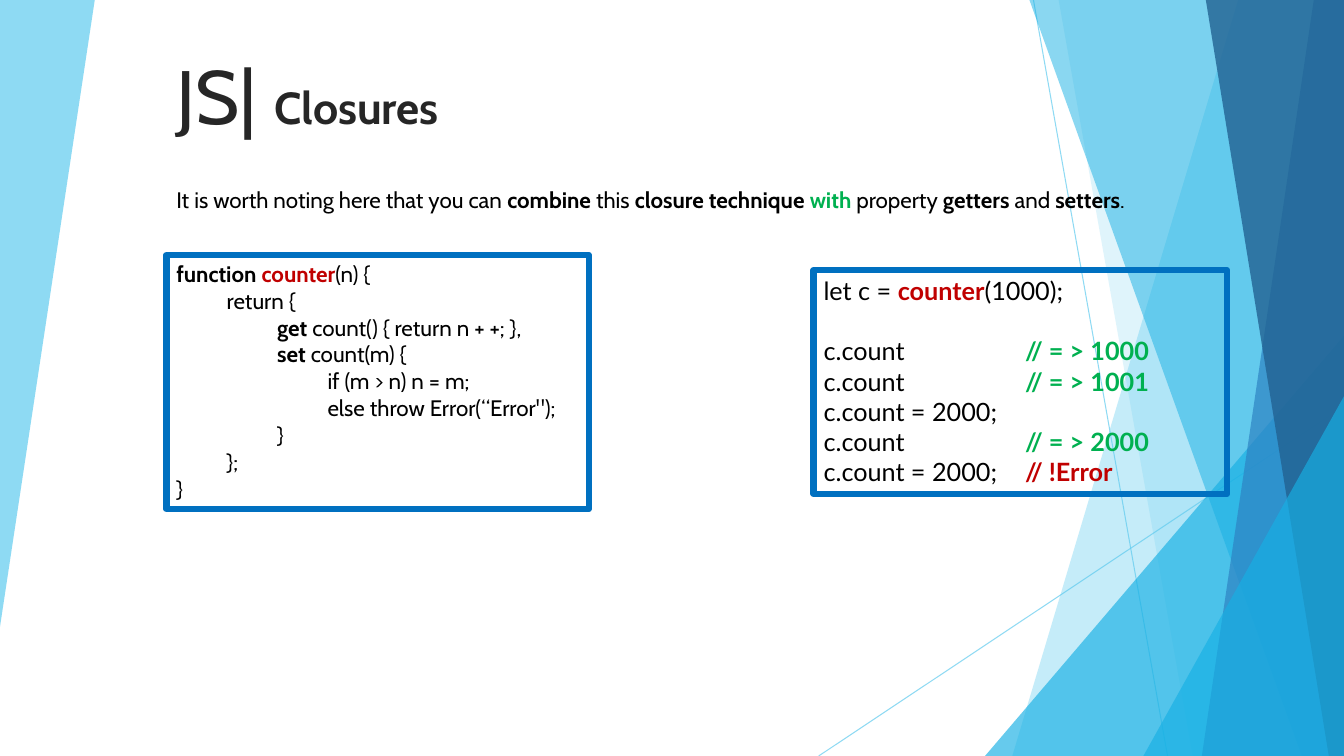
from lxml.etree import SubElement
from pptx import Presentation
from pptx.dml.color import RGBColor
from pptx.enum.shapes import MSO_CONNECTOR, MSO_SHAPE
from pptx.enum.text import MSO_ANCHOR, MSO_AUTO_SIZE, PP_ALIGN
from pptx.oxml.ns import qn
from pptx.util import Inches, Pt

WIDTH, HEIGHT = 13.33, 7.5
SKY, AZURE, BLUE, NAVY = "5FCBEF", "17B0E4", "2E83C3", "226292"
BLACK, RED, GREEN, BORDER = "000000", "C00000", "00B050", "0070C0"


def set_color(target, value, opacity=100):
    target.rgb = RGBColor.from_string(value)
    if opacity < 100:
        holder = target._xFill.find(qn("a:srgbClr"))
        SubElement(holder, qn("a:alpha"), val=str(opacity * 1000))


def add_text(para, text, size=16, font="Cabin", color=BLACK, bold=False):
    span = para.add_run()
    span.text = text
    span.font.size = Pt(size)
    span.font.name = font
    span.font.bold = bold
    set_color(span.font.color, color)


def paint(shape, color, opacity):
    shape.shadow.inherit = False
    shape.fill.solid()
    set_color(shape.fill.fore_color, color, opacity)
    shape.line.fill.background()


def add_facet(page, points, color, opacity):
    corners = [(Inches(x), Inches(y)) for x, y in points]
    builder = page.shapes.build_freeform(*corners[0])
    builder.add_line_segments(corners[1:], close=True)
    paint(builder.convert_to_shape(), color, opacity)


def add_right_facet(page, top, bottom, color, opacity):
    points = [(top, 0), (WIDTH, 0), (WIDTH, HEIGHT), (bottom, HEIGHT)]
    add_facet(page, points, color, opacity)


def add_corner(page, left, top):
    triangle = page.shapes.add_shape(
        MSO_SHAPE.ISOSCELES_TRIANGLE, Inches(left), Inches(top),
        Inches(WIDTH - left), Inches(HEIGHT - top))
    triangle.adjustments[0] = 1
    paint(triangle, AZURE, 66)


def add_ray(page, *ends):
    ray = page.shapes.add_connector(
        MSO_CONNECTOR.STRAIGHT, *[Inches(end) for end in ends])
    ray.line.width = Pt(0.75)
    ray.line.fill.solid()
    set_color(ray.line.fill.fore_color, SKY, 70)
    SubElement(ray.element.spPr, qn("a:effectLst"))


def add_backdrop(page):
    add_facet(page, [(0, 0), (0.94, 0), (0, 6.22)], SKY, 70)
    add_ray(page, 10.25, 0, 11.58, HEIGHT)
    add_ray(page, WIDTH, 4.03, 8.12, HEIGHT)
    add_right_facet(page, 12.28, 10.04, SKY, 36)
    add_right_facet(page, 10.5, 11.83, SKY, 20)
    add_corner(page, 9.77, 3.33)
    add_right_facet(page, 10.21, 12.91, AZURE, 50)
    add_right_facet(page, 13.03, 11.92, BLUE, 70)
    add_right_facet(page, 11.96, 13.18, NAVY, 80)
    add_corner(page, 11.34, 3.93)


def add_title(page, left, top, width, height):
    title = page.shapes.title
    title.left, title.top = Inches(left), Inches(top)
    title.width, title.height = Inches(width), Inches(height)
    frame = title.text_frame
    frame.auto_size = MSO_AUTO_SIZE.NONE
    frame.vertical_anchor = MSO_ANCHOR.BOTTOM
    para = frame.paragraphs[0]
    para.alignment = PP_ALIGN.LEFT
    add_text(para, "JS| ", size=54, color="262626")
    add_text(para, "Closures", size=32, color="262626", bold=True)


def add_text_box(page, left, top, width, height, lines, **style):
    box = page.shapes.add_textbox(
        Inches(left), Inches(top), Inches(width), Inches(height))
    frame = box.text_frame
    frame.word_wrap = True
    frame.auto_size = MSO_AUTO_SIZE.SHAPE_TO_FIT_TEXT
    for index, line in enumerate(lines):
        para = frame.add_paragraph() if index else frame.paragraphs[0]
        for text, *accent in line:
            color = accent[0] if accent else BLACK
            add_text(para, text, color=color, bold=bool(accent), **style)
    return box


def add_statement(page, left, top, width, height):
    sentence = [
        ("It is worth noting here that you can ",), ("combine", BLACK),
        (" this ",), ("closure technique ", BLACK), ("with", GREEN),
        (" property ",), ("getters", BLACK), (" and ",),
        ("setters", BLACK), (".",)]
    box = add_text_box(page, left, top, width, height, [sentence])
    box.text_frame.paragraphs[0].alignment = PP_ALIGN.JUSTIFY


def add_code_box(page, left, top, width, height, lines, **style):
    box = add_text_box(page, left, top, width, height, lines, **style)
    box.line.width = Pt(4.5)
    set_color(box.line.color, BORDER)
    return box


def add_definition(page, left, top, width, height):
    lines = [
        [("function ", BLACK), ("counter", RED), ("(n) {",)],
        [("\treturn {",)],
        [("\t\t",), ("get", BLACK), (" count() { return n + +; },",)],
        [("\t\t",), ("set", BLACK), (" count(m) {",)],
        [("\t\t\tif (m > n) n = m;",)],
        [("\t\t\telse throw Error(“Error\");",)],
        [("\t\t}",)],
        [("\t};",)],
        [("}",)]]
    add_code_box(page, left, top, width, height, lines)


def add_usage(page, left, top, width, height):
    def reading(value):
        return [("c.count \t\t\t",), (f"// = > {value}", GREEN)]

    lines = [
        [("let c = ",), ("counter", RED), ("(1000);",)],
        reading(1000),
        reading(1001),
        [("c.count = 2000;",)],
        reading(2000),
        [("c.count = 2000; ",), ("\t// !Error", RED)]]
    box = add_code_box(
        page, left, top, width, height, lines, size=18, font="Lato")
    box.text_frame.paragraphs[0].space_after = Pt(21.6)


def main():
    deck = Presentation()
    deck.slide_width, deck.slide_height = Inches(WIDTH), Inches(HEIGHT)
    page = deck.slides.add_slide(deck.slide_layouts[5])
    add_backdrop(page)
    add_title(page, 1.65, 0.38, 8.49, 1.06)
    add_statement(page, 1.65, 1.8, 10.52, 0.37)
    add_definition(page, 1.65, 2.53, 4.19, 2.52)
    add_usage(page, 8.07, 2.68, 4.1, 2.22)
    deck.save("out.pptx")


if __name__ == "__main__":
    main()
